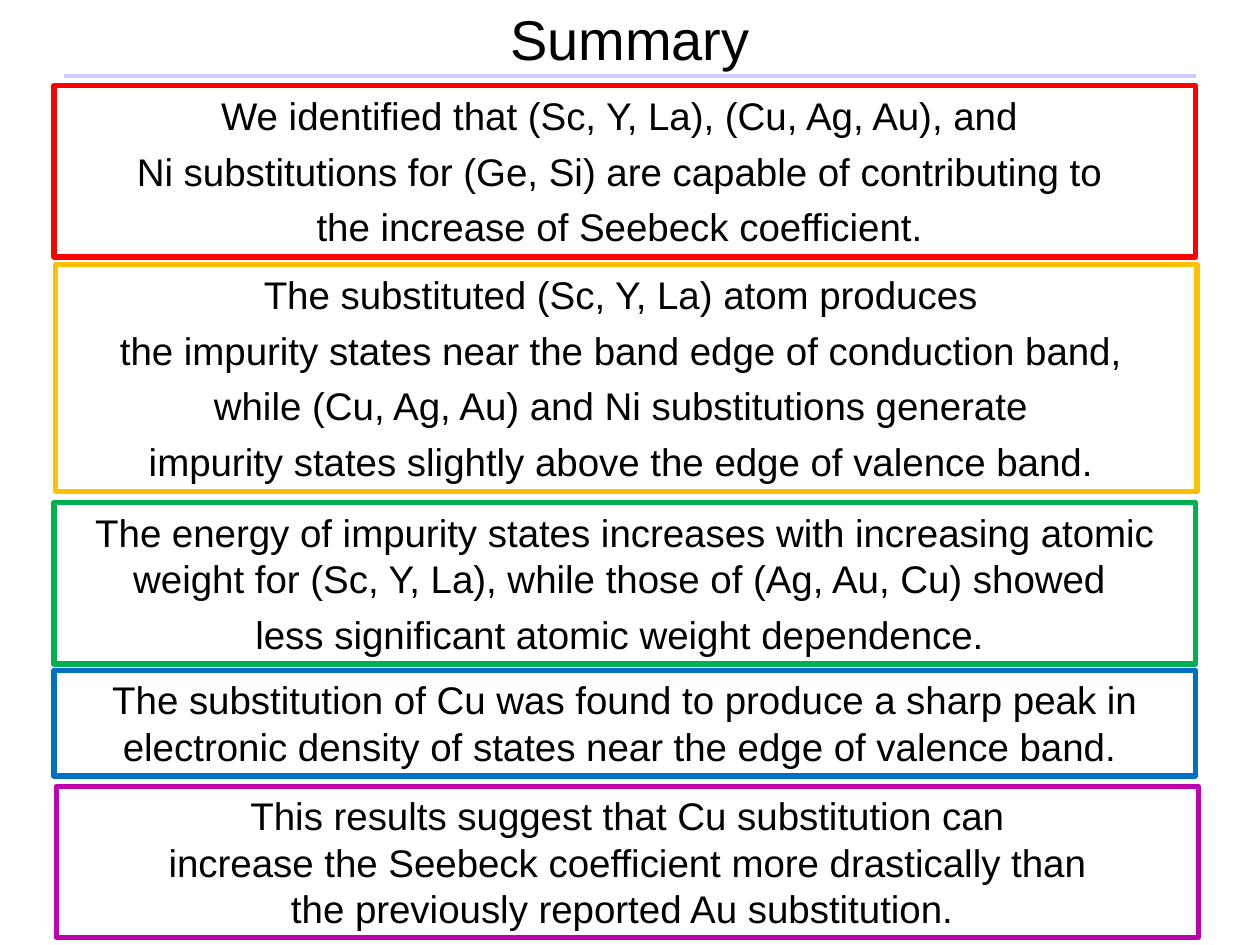
from pptx import Presentation
from pptx.dml.color import RGBColor as RGB
from pptx.enum.shapes import MSO_CONNECTOR as LINK, MSO_SHAPE as SHAPE
from pptx.enum.text import MSO_ANCHOR as ANCHOR, MSO_AUTO_SIZE as FIT, PP_ALIGN as ALIGN
from pptx.oxml.ns import qn
from pptx.util import Inches, Pt
from lxml import etree

BLACK = RGB(0x00, 0x00, 0x00)
LILAC = RGB(0xCC, 0xCC, 0xFF)
RED = RGB(0xFF, 0x00, 0x00)
GOLD = RGB(0xFF, 0xC0, 0x00)
GREEN = RGB(0x00, 0xB0, 0x50)
BLUE = RGB(0x00, 0x70, 0xC0)
PURPLE = RGB(0xBD, 0x03, 0xB0)
WIDTH = 9.06

deck = Presentation()
deck.slide_width, deck.slide_height = Inches(10), Inches(7.5)
slide = deck.slides.add_slide(deck.slide_layouts[5])
shapes = slide.shapes


def style(para, size, space=0):
    para.alignment = ALIGN.CENTER
    para.space_before = Pt(space)
    para.font.name = "Arial"
    para.font.size = Pt(size)
    para.font.color.rgb = BLACK


title = shapes.title
title.left, title.top = Inches(0.75), Inches(-0.03)
title.width, title.height = Inches(8.5), Inches(0.67)
title.text_frame.text = "Summary"
title.text_frame.auto_size = FIT.NONE
title.text_frame.vertical_anchor = ANCHOR.MIDDLE
style(title.text_frame.paragraphs[0], 32)

rule = shapes.add_connector(LINK.STRAIGHT, Inches(0.51), Inches(0.6), Inches(9.49), Inches(0.6))
rule.line.color.rgb = LILAC
rule.line.width = Pt(2.25)
etree.SubElement(rule._element.spPr, qn("a:effectLst"))

points = [
    (RED, 0.43, 0.68, 1.36, 5.5, [
        "We identified that (Sc, Y, La), (Cu, Ag, Au), and ",
        "Ni substitutions for (Ge, Si) are capable of contributing to ",
        "the increase of Seebeck coefficient. "]),
    (GOLD, 0.44, 2.1, 1.8, 5.5, [
        "The substituted (Sc, Y, La) atom produces ",
        "the impurity states near the band edge of conduction band, ",
        "while (Cu, Ag, Au) and Ni substitutions generate ",
        "impurity states slightly above the edge of valence band. "]),
    (GREEN, 0.43, 3.99, 1.28, 5.5, [
        "The energy of impurity states increases with increasing atomic "
        "weight for (Sc, Y, La), while those of (Ag, Au, Cu) showed ",
        "less significant atomic weight dependence. "]),
    (BLUE, 0.43, 5.32, 0.84, 0, [
        "The substitution of Cu was found to produce a sharp peak in "
        "electronic density of states near the edge of valence band. "]),
    (PURPLE, 0.45, 6.24, 1.2, 0, [
        "This results suggest that Cu substitution can",
        " increase the Seebeck coefficient more drastically than ",
        "the previously reported Au substitution. "]),
]

for color, left, top, height, space, lines in points:
    box = shapes.add_shape(SHAPE.RECTANGLE, Inches(left), Inches(top), Inches(WIDTH), Inches(height))
    box.shadow.inherit = False
    box.fill.background()
    box.line.color.rgb = color
    box.line.width = Pt(3)
    frame = box.text_frame
    frame.word_wrap = True
    frame.auto_size = FIT.SHAPE_TO_FIT_TEXT
    frame.vertical_anchor = ANCHOR.TOP
    frame.text = "\n".join(lines)
    for para in frame.paragraphs:
        style(para, 22, space)

deck.save("out.pptx")
